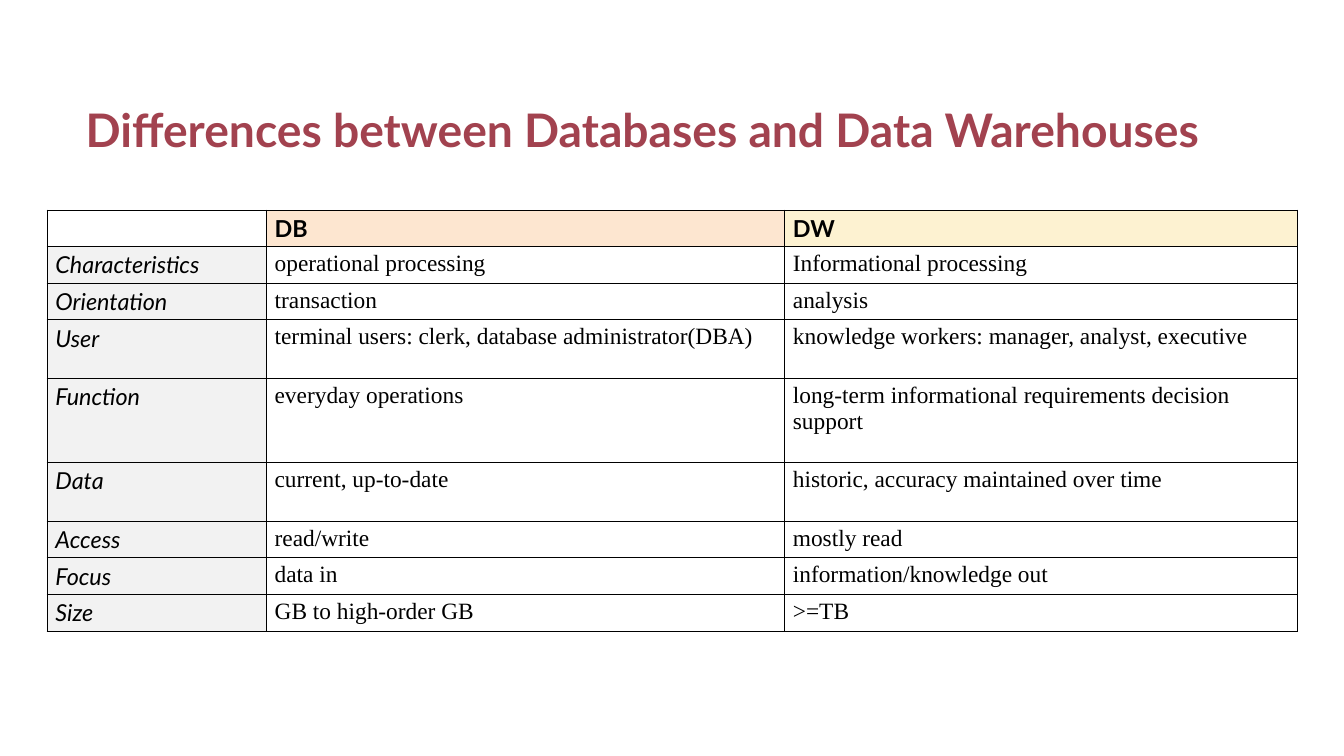
from lxml import etree
from pptx import Presentation
from pptx.dml.color import RGBColor
from pptx.enum.text import MSO_ANCHOR, PP_ALIGN
from pptx.oxml.ns import qn
from pptx.util import Inches, Pt

# Content
TITLE = "Differences between Databases and Data Warehouses"
ROWS = [
    ("", "DB", "DW"),
    ("Characteristics", "operational processing", "Informational processing"),
    ("Orientation", "transaction", "analysis"),
    ("User", "terminal users: clerk, database administrator(DBA)",
     "knowledge workers: manager, analyst, executive"),
    ("Function", "everyday operations",
     "long-term informational requirements decision support"),
    ("Data", "current, up-to-date", "historic, accuracy maintained over time"),
    ("Access", "read/write", "mostly read"),
    ("Focus", "data in", "information/knowledge out"),
    ("Size", "GB to high-order GB", ">=TB"),
]

# Layout and style
COL_WIDTHS = [2.61, 6.17, 6.11]
ROW_HEIGHT = 0.43
TALL_ROWS = {"User": 0.7, "Function": 1, "Data": 0.7}
BLACK = RGBColor(0x00, 0x00, 0x00)
RED = RGBColor(0xA2, 0x42, 0x4F)
GRAY = RGBColor(0xF2, 0xF2, 0xF2)
HEADER_FILLS = {1: RGBColor(0xFD, 0xCF, 0xA2), 2: RGBColor(0xFD, 0xE6, 0xA5)}
HEAD_FONT, BODY_FONT = "Lato", "Times New Roman"
LEFT, BOTTOM = PP_ALIGN.LEFT, MSO_ANCHOR.BOTTOM


def set_font(font, name, size, color, bold=False, italic=False):
    font.name, font.size = name, Pt(size)
    font.bold, font.italic = bold, italic
    font.color.rgb = color


def add_borders(cell):
    tc_pr = cell._tc.get_or_add_tcPr()
    for side in ("a:lnL", "a:lnR", "a:lnT", "a:lnB"):
        ln = etree.SubElement(tc_pr, qn(side), w=str(Pt(1)))
        fill = etree.SubElement(ln, qn("a:solidFill"))
        etree.SubElement(fill, qn("a:srgbClr"), val=str(BLACK))


def fill_cell(cell, color, opacity=100):
    cell.fill.solid()
    cell.fill.fore_color.rgb = color
    if opacity < 100:
        clr = cell._tc.tcPr.find(qn("a:solidFill")).find(qn("a:srgbClr"))
        etree.SubElement(clr, qn("a:alpha"), val=str(opacity * 1000))


prs = Presentation()
prs.slide_width, prs.slide_height = Inches(16), Inches(9)
s = prs.slides.add_slide(prs.slide_layouts[5])

# Title
title = s.shapes.title
title.left, title.top = Inches(0.92), Inches(0.36)
title.width, title.height = Inches(14.17), Inches(1.56)
tf = title.text_frame
tf.text = TITLE
tf.vertical_anchor = BOTTOM
p = tf.paragraphs[0]
p.alignment = LEFT
set_font(p.font, HEAD_FONT, 39.6, RED, bold=True)

# Comparison table
heights = [TALL_ROWS.get(row[0], ROW_HEIGHT) for row in ROWS]
table = s.shapes.add_table(
    len(ROWS), len(COL_WIDTHS), Inches(0.56), Inches(2.5),
    Inches(sum(COL_WIDTHS)), Inches(sum(heights))).table
table.first_row = table.horz_banding = False
for column, width in zip(table.columns, COL_WIDTHS):
    column.width = Inches(width)

for i, row in enumerate(ROWS):
    table.rows[i].height = Inches(heights[i])
    for j, text in enumerate(row):
        cell = table.cell(i, j)
        add_borders(cell)
        header, label = i == 0, j == 0
        if header and not label:
            fill_cell(cell, HEADER_FILLS[j], opacity=50)
        elif label and not header:
            fill_cell(cell, GRAY)
        else:
            cell.fill.background()
        cell.text = text
        set_font(cell.text_frame.paragraphs[0].font,
                 HEAD_FONT if header or label else BODY_FONT, 20, BLACK,
                 bold=header, italic=label and not header)

prs.save("out.pptx")
